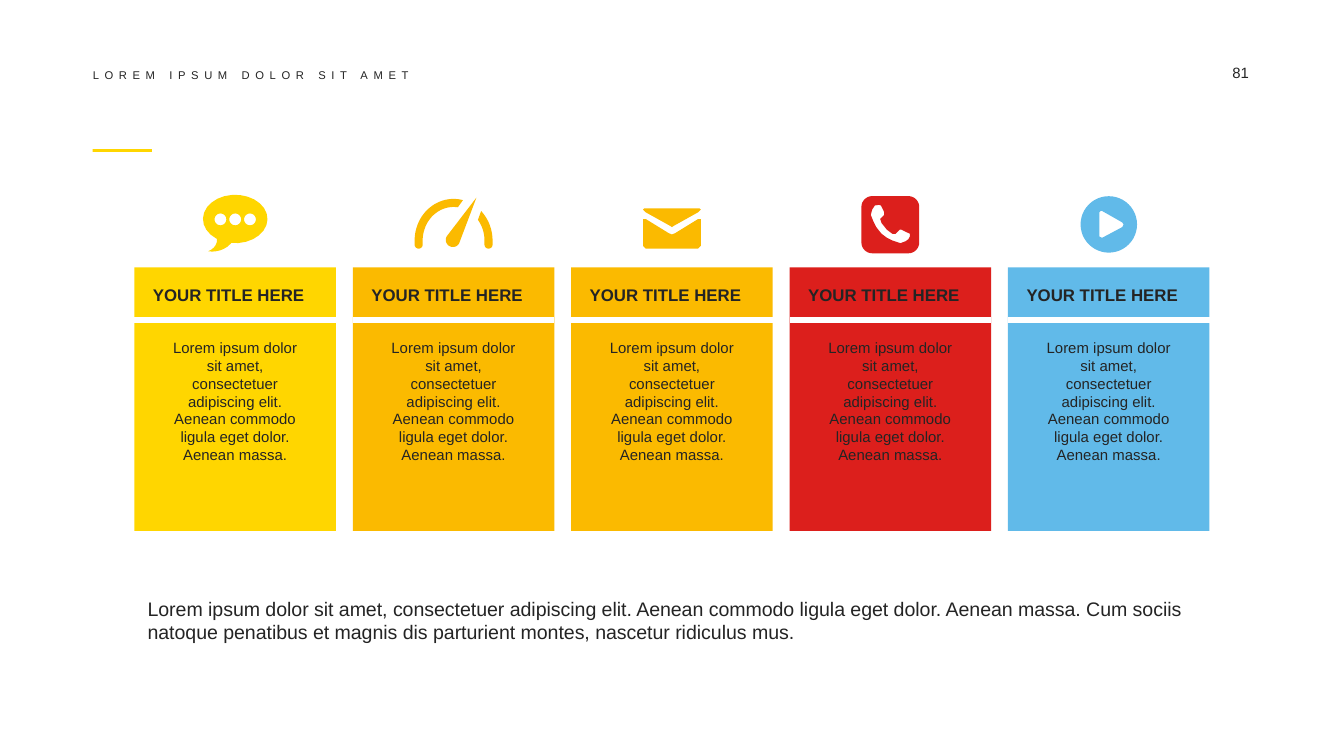
from math import cos, radians, sin

from lxml import etree
from pptx import Presentation, util as u
from pptx.dml.color import RGBColor
from pptx.enum import shapes, text
from pptx.oxml.ns import qn

INK = "242424"
WHITE = "FFFFFF"
LOREM = ("Lorem ipsum dolor sit amet, consectetuer adipiscing elit. "
         "Aenean commodo ligula eget dolor. Aenean massa.")
SUMMARY = LOREM + (" Cum sociis natoque penatibus et magnis dis parturient montes, "
                   "nascetur ridiculus mus.")


def rgb(value):
    """Return the colour for a hex string."""
    return RGBColor.from_string(value)


def arc(x, y, rx, ry, start=0, end=360, steps=24):
    """Return points along an elliptical arc, clockwise from the right."""
    angles = [radians(start + (end - start) * i / steps) for i in range(steps + 1)]
    return [(x + rx * cos(a), y + ry * sin(a)) for a in angles]


def curve(a, b, c, d, steps=8):
    """Return points along a cubic curve."""
    ts = [i / steps for i in range(steps + 1)]
    return [tuple((1 - t) ** 3 * p + 3 * t * (1 - t) ** 2 * q + 3 * t * t * (1 - t) * r + t ** 3 * s
                  for p, q, r, s in zip(a, b, c, d)) for t in ts]


def bubble():
    """Return the outlines of a speech bubble in hundredths of an inch."""
    balloon = (arc(24, 18, 24, 18, 126, 458)
               + curve((21, 36), (14, 44), (4, 42), (4, 42))
               + curve((4, 42), (11, 39), (11, 33), (10, 32)))
    return [balloon] + [arc(x, 18.3, 4.4, 4.4) for x in (13, 24, 35)]


def gauge():
    """Return the outlines of a gauge in hundredths of an inch."""
    needle = [(46, 1)] + arc(28.5, 32.5, 5.3, 5.3, 30, 210)
    left = (arc(29, 33, 29, 31, 180, 284) + arc(29, 33, 23, 25, 278, 180)
            + arc(3, 36, 3, 3, 0, 180))
    right = (arc(29, 33, 29, 31, -45, 0) + arc(55, 36, 3, 3, 0, 180)
             + arc(29, 33, 23, 25, 0, -38))
    return [needle, left, right]


def envelope():
    """Return the outlines of an envelope in hundredths of an inch."""
    flap = [(1, 0), (42, 0), (43, 1), (41, 3), (23, 13), (21.5, 14), (20, 13), (2, 3), (0, 1)]
    body = [(0, 8), (2, 8), (19, 18.5), (21.5, 19.5), (24, 18.5), (41, 8), (43, 8),
            (43, 28), (41, 30), (2, 30), (0, 28)]
    return [flap, body]


def phone():
    """Return the outlines of a phone button in hundredths of an inch."""
    corners = [(35, 34.5, 0), (8, 34.5, 90), (8, 8, 180), (35, 8, 270)]
    button = [point for x, y, start in corners for point in arc(x, y, 8, 8, start, start + 90, 8)]
    handset = [(36, 28), (30, 25), (28.5, 25), (25.5, 28), (23, 28), (19, 25), (15, 20), (14, 17),
               (17, 14), (17, 12), (14.5, 7), (13, 6.5), (10, 7), (8, 10), (7, 14), (9, 19),
               (11, 23), (15, 28), (19, 31), (23, 33), (29, 35), (33, 33.5), (35, 32), (36, 30)]
    return [button, handset]


def play():
    """Return the outlines of a play button in hundredths of an inch."""
    return [arc(21, 21, 21, 21, steps=48),
            [(14, 12), (15, 11), (16, 11), (31, 19.5), (32, 21), (31, 23), (16, 31), (14, 30)]]


CARDS = [("FFD600", bubble, 0.48, 1.45), ("FBBA00", gauge, 0.58, 1.46),
         ("FBBA00", envelope, 0.43, 1.55), ("DC1F1C", phone, 0.43, 1.46),
         ("61BAE9", play, 0.42, 1.46)]


def paint(shape, colour):
    """Give a shape a plain fill with no line or shadow."""
    shape.shadow.inherit = False
    shape.fill.solid()
    shape.fill.fore_color.rgb = rgb(colour)
    shape.line.fill.background()


def panel(slide, left, top, width, height, colour):
    """Add a filled rectangle."""
    box = map(u.Inches, (left, top, width, height))
    paint(slide.shapes.add_shape(shapes.MSO_SHAPE.RECTANGLE, *box), colour)


def write(frame, words, size, align=text.PP_ALIGN.LEFT, bold=False, insets=None):
    """Fill a text frame with one formatted paragraph."""
    frame.word_wrap = True
    if insets:
        (frame.margin_left, frame.margin_top,
         frame.margin_right, frame.margin_bottom) = map(u.Inches, insets)
    paragraph = frame.paragraphs[0]
    paragraph.text = words
    paragraph.alignment = align
    font = paragraph.font
    font.name, font.size, font.bold = "Arial", u.Pt(size), bold
    font.color.rgb = rgb(INK)


def label(slide, left, top, width, height, words, size, **style):
    """Add a text box."""
    box = slide.shapes.add_textbox(*map(u.Inches, (left, top, width, height)))
    write(box.text_frame, words, size, **style)


def icon(slide, left, top, outlines, colour):
    """Draw outlines as one shape whose inner contours are holes."""
    contours = [[(u.Inches(left + x / 100), u.Inches(top + y / 100)) for x, y in outline]
                for outline in outlines]
    builder = slide.shapes.build_freeform(*contours[0][0])
    for i, contour in enumerate(contours):
        if i:
            builder.move_to(*contour[0])
        builder.add_line_segments(contour[1:], close=True)
    paint(builder.convert_to_shape(), colour)


def card(slide, left, top, width, height, colour):
    """Add a card with a heading, a divider and a description."""
    panel(slide, left, top, width, height, colour)
    y = u.Inches(top + 0.39)
    divider = slide.shapes.add_connector(shapes.MSO_CONNECTOR.STRAIGHT,
                                         u.Inches(left), y, u.Inches(left + width), y)
    divider.line.color.rgb = rgb(WHITE)
    divider.line.width = u.Pt(3)
    etree.SubElement(divider._element.spPr, qn("a:effectLst"))
    label(slide, left, top + 0.13, width, 0.15, "YOUR TITLE HERE", 9,
          align=text.PP_ALIGN.CENTER, bold=True, insets=(0, 0, 0.1, 0))
    label(slide, left + 0.13, top + 0.48, 1.24, 1.04, LOREM, 8, align=text.PP_ALIGN.CENTER)


def header(slide, left, top, width):
    """Place the spaced title, the page number and the accent bar."""
    title = slide.shapes.title
    title.left, title.top, title.width, title.height = map(u.Inches, (left, top, 7.17, 0.1))
    title.text_frame.vertical_anchor = text.MSO_ANCHOR.MIDDLE
    write(title.text_frame, "LOREM IPSUM DOLOR SIT AMET", 6, insets=(0, 0, 0, 0))
    title.text_frame.paragraphs[0].runs[0].font._element.set("spc", "300")
    label(slide, left + width - 0.43, top - 0.04, 0.43, 0.16, "81", 8, insets=(0, 0, 0, 0))
    panel(slide, left, top + 0.6, 0.44, 0.02, "FFD600")


def card_row(slide, left, top, width, height):
    """Spread the cards evenly and centre an icon above each."""
    card_width = 1.5
    step = (width - card_width) / (len(CARDS) - 1)
    for i, (colour, outlines, icon_width, icon_top) in enumerate(CARDS):
        x = left + i * step
        card(slide, x, top, card_width, height, colour)
        icon(slide, x + (card_width - icon_width) / 2, icon_top, outlines(), colour)


def main():
    """Build and save the slide."""
    deck = Presentation()
    deck.slide_width, deck.slide_height = u.Inches(10), u.Inches(5.625)
    slide = deck.slides.add_slide(deck.slide_layouts[5])
    header(slide, 0.69, 0.51, 8.91)
    card_row(slide, 1, 1.99, 8, 1.96)
    label(slide, 1, 4.39, 8.01, 0.45, SUMMARY, 10.5)
    deck.save("out.pptx")


if __name__ == "__main__":
    main()
